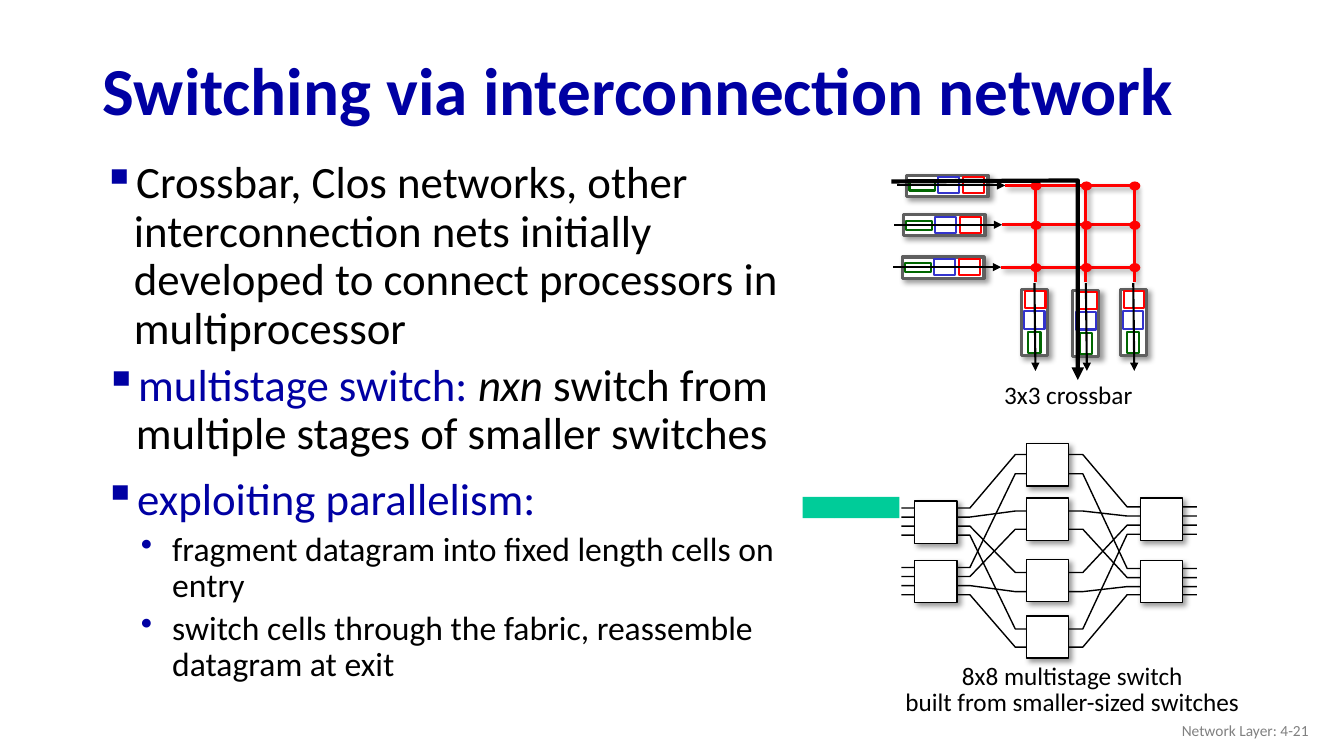
from lxml import etree
from pptx import Presentation
from pptx.dml.color import RGBColor
from pptx.enum import shapes, text
from pptx.oxml import ns
from pptx.util import Inches, Pt

# Content
HUE = {"navy": "0000A3", "black": "000000", "white": "FFFFFF", "gray": "808080",
       "frame": "5F5F5F", "green": "006600", "blue": "3333CC", "red": "FF0000",
       "cell": "00CC99"}
TITLE = "Switching via interconnection network"
# Bullet blocks: box, then paragraphs of (level, [(text, colour, italic)])
BLOCKS = [
    ((0.84, 1.54, 7.08, 5.58), [
        (0, [("Crossbar, Clos networks, other interconnection nets initially "
              "developed to connect processors in multiprocessor", "black", False)])]),
    ((0.86, 3.55, 7.08, 1.2), [
        (0, [("multistage switch: ", "navy", False), ("nxn", "black", True),
             (" switch from multiple stages of smaller switches", "black", False)])]),
    ((0.85, 4.68, 7.08, 2.32), [
        (0, [("exploiting parallelism:", "navy", False)]),
        (1, [("fragment datagram into fixed length cells on entry", "black", False)]),
        (1, [("switch cells through the fabric, reassemble datagram at exit",
              "black", False)])]),
]
LEVELS = [dict(size=32, left=0.39, before=10, bullet="▪"),
          dict(size=24, left=0.76, before=5, bullet="•")]
LABELS = [
    ((8.86, 6.55, 3.55, 0.62), ["8x8 multistage switch",
                               "built from smaller-sized switches"]),
    ((9.85, 3.76, 1.49, 0.36), ["3x3 crossbar"]),
]
FOOTER = "Network Layer: 4-21"

# Buffer parts: offset and size inside a buffer, line colour, line width
IN_PARTS = [(0, 0, 0.81, 0.21, "frame", 2.25), (0.03, 0.06, 0.25, 0.09, "green", 1.5),
            (0.31, 0.02, 0.21, 0.16, "blue", 1.5), (0.56, 0.02, 0.21, 0.16, "red", 1.5)]
OUT_PARTS = [(0, 0, 0.26, 0.66, "frame", 2.25), (0.07, 0.42, 0.12, 0.21, "green", 1.5),
             (0.03, 0.22, 0.2, 0.17, "blue", 1.5), (0.04, 0.02, 0.2, 0.17, "red", 1.5)]
INPUTS = [(8.99, 1.74), (8.96, 2.13), (8.95, 2.55)]
OUTPUTS = [(11.11, 2.87), (10.64, 2.88), (10.13, 2.87)]
ROWS, COLS = (1.84, 2.23, 2.65), (10.27, 10.77, 11.25)
ROUTE = [(8.84, 1.8), (10.69, 1.79), (10.69, 3.77)]

# Multistage wires: height at the input, middle and output stage
WIRE_X = (8.94, 9.62, 10.07, 10.74, 11.18, 11.87)
WIRE_Y = [(5.04, 4.51, 5.03), (5.9, 6.42, 5.9), (5.13, 5.07, 5.12), (5.81, 5.87, 5.82),
          (5.22, 5.68, 5.21), (5.72, 5.25, 5.73), (5.31, 6.24, 5.3), (5.63, 4.7, 5.64)]
STAGES = [(9.07, (4.97, 5.56)), (10.18, (4.4, 4.94, 5.55, 6.11)), (11.31, (4.94, 5.56))]
SIDE = 0.42


def tint(name):
    return RGBColor.from_string(HUE[name])


def node(parent, tag, **attrs):
    item = etree.SubElement(parent, ns.qn(tag))
    for key, value in attrs.items():
        item.set(key, str(value))
    return item


def shade(part, on):
    """Give a part the soft drop shadow, or an empty effect list."""
    props = part._element.spPr
    for old in props.findall(ns.qn("a:effectLst")):
        props.remove(old)
    effects = node(props, "a:effectLst")
    if on:
        drop = node(effects, "a:outerShdw", blurRad=Pt(4), dist=Pt(3), dir=45 * 60000,
                    algn="tl", rotWithShape=0)
        node(node(drop, "a:srgbClr", val=HUE["black"]), "a:alpha", val=40000)


def stroke(part, hue, width, arrow=False):
    part.line.color.rgb = tint(hue)
    part.line.width = Pt(width)
    if arrow:
        node(part.line._get_or_add_ln(), "a:tailEnd", type="triangle")


def block(group, box, fill="white", hue=None, width=1, shadow=False, kind="RECTANGLE"):
    part = group.add_shape(getattr(shapes.MSO_SHAPE, kind), *map(Inches, box))
    part.fill.solid()
    part.fill.fore_color.rgb = tint(fill)
    if hue:
        stroke(part, hue, width)
    else:
        part.line.fill.background()
    shade(part, shadow)


def link(group, start, end, hue="black", width=1.5, arrow=False, shadow=False):
    part = group.add_connector(shapes.MSO_CONNECTOR.STRAIGHT, *map(Inches, start + end))
    stroke(part, hue, width, arrow)
    shade(part, shadow)


def trace(group, points, width, arrow=False):
    dots = [(Inches(x), Inches(y)) for x, y in points]
    pen = group.build_freeform(*dots[0])
    pen.add_line_segments(dots[1:], close=False)
    part = pen.convert_to_shape()
    part.fill.background()
    stroke(part, "black", width, arrow)
    shade(part, False)


def write(para, words, size=18, hue="black", bold=False, italic=False,
          align=None, space=None):
    run = para.add_run()
    run.text = words
    font = run.font
    font.name, font.size, font.bold, font.italic = "Calibri", Pt(size), bold, italic
    font.color.rgb = tint(hue)
    if align:
        para.alignment = getattr(text.PP_ALIGN, align)
    if space:
        para.line_spacing = space


def frame(box, wrap=True):
    body = slide.shapes.add_textbox(*map(Inches, box)).text_frame
    body.word_wrap = wrap
    return body


def paras(body, items):
    for i, item in enumerate(items):
        yield (body.add_paragraph() if i else body.paragraphs[0]), item


deck = Presentation()
deck.slide_width, deck.slide_height = Inches(13.33), Inches(7.5)
slide = deck.slides.add_slide(deck.slide_layouts[5])

# Title
head = slide.shapes.title
head.left, head.top, head.width, head.height = map(Inches, (0.92, 0.44, 11.5, 0.98))
head.text_frame.vertical_anchor = text.MSO_ANCHOR.MIDDLE
write(head.text_frame.paragraphs[0], TITLE, size=48, hue="navy", bold=True,
      align="LEFT", space=0.9)

# Bullets
for box, items in BLOCKS:
    for para, (level, runs) in paras(frame(box), items):
        style = LEVELS[level]
        for words, hue, slant in runs:
            write(para, words, size=style["size"], hue=hue, italic=slant, space=0.9)
        para.level = level
        para.space_before = Pt(style["before"])
        props = para._p.get_or_add_pPr()
        props.set("marL", str(Inches(style["left"])))
        props.set("indent", str(Inches(-0.31)))
        node(node(props, "a:buClr"), "a:srgbClr", val=HUE["navy"])
        node(props, "a:buChar", char=style["bullet"])

# Crossbar: buffers, red grid, crosspoints, chosen route
cross = slide.shapes.add_group_shape().shapes
for spots, parts in ((INPUTS, IN_PARTS), (OUTPUTS, OUT_PARTS)):
    for x, y in spots:
        for dx, dy, w, h, hue, width in parts:
            block(cross, (x + dx, y + dy, w, h), hue=hue, width=width,
                  shadow=hue == "frame")
        if parts is IN_PARTS:
            link(cross, (x - 0.09, y + 0.1), (x + 0.98, y + 0.1), arrow=True)
        else:
            link(cross, (x + 0.13, 2.81), (x + 0.14, 3.68), arrow=True)
for (x, _), y in zip(INPUTS, ROWS):
    link(cross, (x + 0.98, y), (COLS[-1], y), "red", 2.25, shadow=True)
for x in COLS:
    link(cross, (x, 2.8), (x, ROWS[0]), "red", 2.25, shadow=True)
for x in COLS:
    for y in ROWS:
        block(cross, (x - 0.05, y - 0.04, 0.11, 0.09), "red", kind="OVAL")
trace(cross, ROUTE, 3, arrow=True)

# Multistage switch: wires behind the small switches
multi = slide.shapes.add_group_shape().shapes
for heights in WIRE_Y:
    trace(multi, zip(WIRE_X, [y for y in heights for _ in range(2)]), 1)
for x, tops in STAGES:
    for y in tops:
        block(multi, (x, y, SIDE, SIDE), hue="black", shadow=True)

# Datagram cells
for i in range(3):
    block(slide.shapes, (7.96 + 0.32 * i, 4.93, 0.32, 0.21), "cell")

# Captions and footer
for box, lines in LABELS:
    for para, words in paras(frame(box, wrap=False), lines):
        write(para, words, align="CENTER", space=0.85)
foot = frame((10.08, 7.05, 3, 0.4))
foot.vertical_anchor = text.MSO_ANCHOR.MIDDLE
write(foot.paragraphs[0], FOOTER, size=11, hue="gray", align="RIGHT")

deck.save("out.pptx")
